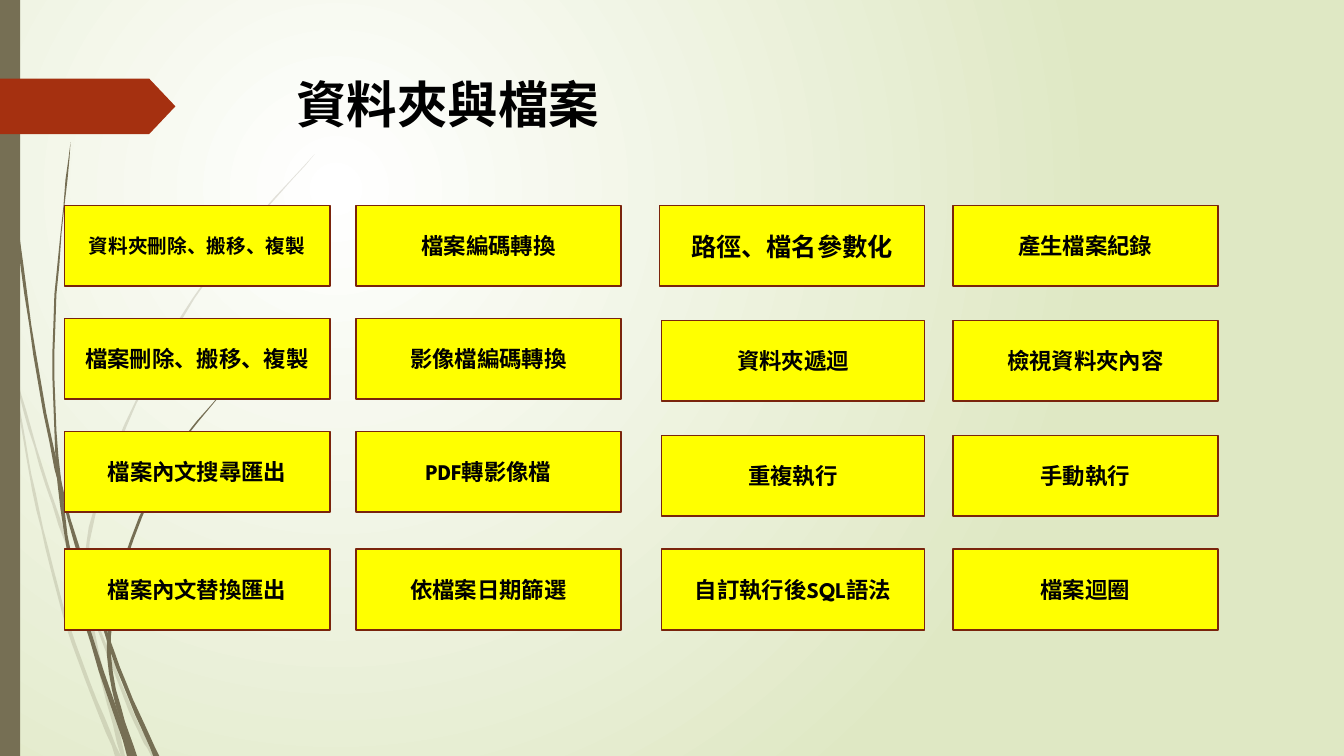
from lxml.etree import SubElement
from pptx import Presentation
from pptx.dml.color import RGBColor
from pptx.enum.shapes import MSO_SHAPE
from pptx.enum.text import MSO_ANCHOR, MSO_AUTO_SIZE, PP_ALIGN
from pptx.oxml.ns import qn
from pptx.util import Pt

COLORS = {
    "black": "000000",
    "white": "FFFFFF",
    "pale green": "DFE8C4",
    "olive": "766F54",
    "red": "A53010",
    "yellow": "FFFF00",
    "dark red": "7A240C",
}
FONT = "League Spartan"
PX = 9144
SLIDE_SIZE = (1333, 750)

TITLE = "資料夾與檔案"
TITLE_BOX = (284, 68, 975, 81)
SIDE_BAR = (0, 0, 20, 750)
ARROW_TAG = (0, 78, 174, 55)
ARROW_POINT = 26

CARD_HEIGHT = 80
LEFT_TOPS = (204, 316, 428, 545)
RIGHT_TOPS = (204, 318, 432, 545)
COLUMNS = [
    {"right": 327, "width": 263, "tops": LEFT_TOPS,
     "labels": ["資料夾刪除、搬移、複製", "檔案刪除、搬移、複製", "檔案內文搜尋匯出", "檔案內文替換匯出"]},
    {"right": 616, "width": 263, "tops": LEFT_TOPS,
     "labels": ["檔案編碼轉換", "影像檔編碼轉換", "PDF轉影像檔", "依檔案日期篩選"]},
    {"right": 917, "width": 261, "tops": RIGHT_TOPS,
     "labels": ["路徑、檔名參數化", "資料夾遞迴", "重複執行", "自訂執行後SQL語法"]},
    {"right": 1208, "width": 263, "tops": RIGHT_TOPS,
     "labels": ["產生檔案紀錄", "檢視資料夾內容", "手動執行", "檔案迴圈"]},
]
CARD_TEXT_SIZE = 16
SPECIAL_TEXT_SIZES = {"資料夾刪除、搬移、複製": 14, "路徑、檔名參數化": 18}
EXTRA_WIDTHS = {"路徑、檔名參數化": 2}

TIP_WIDTH, ROOT_WIDTH = 1, 5
STEPS_PER_SPAN = 8
GRASS = [
    {"opacity": 20, "blades": {
        "left": [(0, 290), (16, 376), (60, 521), (125, 693), (152, 750)],
        "middle": [(11, 350), (30, 470), (67, 620), (117, 750)],
        "right": [(312, 153), (192, 296), (109, 461), (86, 585), (122, 750)],
    }},
    {"opacity": 100, "blades": {
        "left": [(3, 0), (18, 232), (56, 465), (111, 645), (155, 750)],
        "middle": [(70, 141), (53, 349), (70, 556), (129, 750)],
        "right": [(260, 344), (157, 475), (108, 632), (133, 750)],
    }},
]


def color(name):
    return RGBColor.from_string(COLORS[name])


def scaled(lengths):
    return [length * PX for length in lengths]


def write_text(shape, text, size, align=PP_ALIGN.CENTER, anchor=MSO_ANCHOR.MIDDLE):
    frame = shape.text_frame
    frame.text = text
    frame.word_wrap = True
    frame.auto_size = MSO_AUTO_SIZE.NONE
    frame.vertical_anchor = anchor
    paragraph = frame.paragraphs[0]
    paragraph.alignment = align
    font = paragraph.runs[0].font
    font.name = FONT
    font.size = Pt(size)
    font.bold = True
    font.color.rgb = color("black")


def paint(shape, fill, line=None, opacity=100):
    shape.shadow.inherit = False
    shape.fill.solid()
    shape.fill.fore_color.rgb = color(fill)
    if opacity < 100:
        fill_color = shape._element.spPr.find(qn("a:solidFill"))[0]
        SubElement(fill_color, qn("a:alpha"), val=str(opacity * 1000))
    if line:
        shape.line.color.rgb = color(line)
        shape.line.width = Pt(1.25)
    else:
        shape.line.fill.background()


def add_block(shapes, box, fill, line=None, kind=MSO_SHAPE.RECTANGLE):
    shape = shapes.add_shape(kind, *scaled(box))
    paint(shape, fill, line)
    return shape


def smooth_between(before, start, end, after, t):
    return (2 * start + (end - before) * t
            + (2 * before - 5 * start + 4 * end - after) * t ** 2
            + (3 * start - before - 3 * end + after) * t ** 3) / 2


def smooth_curve(knots):
    padded = [knots[0], *knots, knots[-1]]
    curve = []
    for span in zip(padded, padded[1:], padded[2:], padded[3:]):
        for step in range(STEPS_PER_SPAN):
            t = step / STEPS_PER_SPAN
            curve.append(tuple(smooth_between(*values, t) for values in zip(*span)))
    return [*curve, knots[-1]]


def add_blade(shapes, knots, opacity):
    spine = smooth_curve(knots)
    left_edge, right_edge = [], []
    for index, (x, y) in enumerate(spine):
        growth = index / (len(spine) - 1)
        half_width = (TIP_WIDTH + (ROOT_WIDTH - TIP_WIDTH) * growth) / 2
        left_edge.append((max(x - half_width, 0), y))
        right_edge.append((x + half_width, y))
    builder = shapes.build_freeform(*left_edge[0], scale=PX)
    builder.add_line_segments(left_edge[1:] + right_edge[::-1], close=True)
    paint(builder.convert_to_shape(), "olive", opacity=opacity)


def set_background(slide):
    fill = slide.background.fill
    fill.gradient()
    for position, (stop, name) in enumerate(zip(fill.gradient_stops, ("white", "pale green"))):
        stop.color.rgb = color(name)
        stop.position = position
    gradient = slide._element.find(".//" + qn("a:gradFill"))
    gradient.remove(gradient.find(qn("a:lin")))
    glow = SubElement(gradient, qn("a:path"), path="circle")
    SubElement(glow, qn("a:fillToRect"), l="50000", t="50000", r="100000", b="100000")


def add_decoration(slide):
    for clump in GRASS:
        group = slide.shapes.add_group_shape()
        for name, knots in clump["blades"].items():
            add_blade(group.shapes, knots, clump["opacity"])
    add_block(slide.shapes, SIDE_BAR, "olive")
    tag = add_block(slide.shapes, ARROW_TAG, "red", kind=MSO_SHAPE.PENTAGON)
    tag.adjustments[0] = ARROW_POINT / ARROW_TAG[3]


def add_title(slide):
    title = slide.shapes.title
    title.left, title.top, title.width, title.height = scaled(TITLE_BOX)
    write_text(title, TITLE, 36, align=PP_ALIGN.LEFT, anchor=MSO_ANCHOR.TOP)


def add_cards(slide):
    for column in COLUMNS:
        for top, label in zip(column["tops"], column["labels"]):
            width = column["width"] + EXTRA_WIDTHS.get(label, 0)
            box = (column["right"] - width, top, width, CARD_HEIGHT)
            card = add_block(slide.shapes, box, "yellow", "dark red")
            write_text(card, label, SPECIAL_TEXT_SIZES.get(label, CARD_TEXT_SIZE))


def main():
    presentation = Presentation()
    presentation.slide_width, presentation.slide_height = scaled(SLIDE_SIZE)
    slide = presentation.slides.add_slide(presentation.slide_layouts[5])
    set_background(slide)
    add_decoration(slide)
    add_title(slide)
    add_cards(slide)
    presentation.save("out.pptx")


if __name__ == "__main__":
    main()
